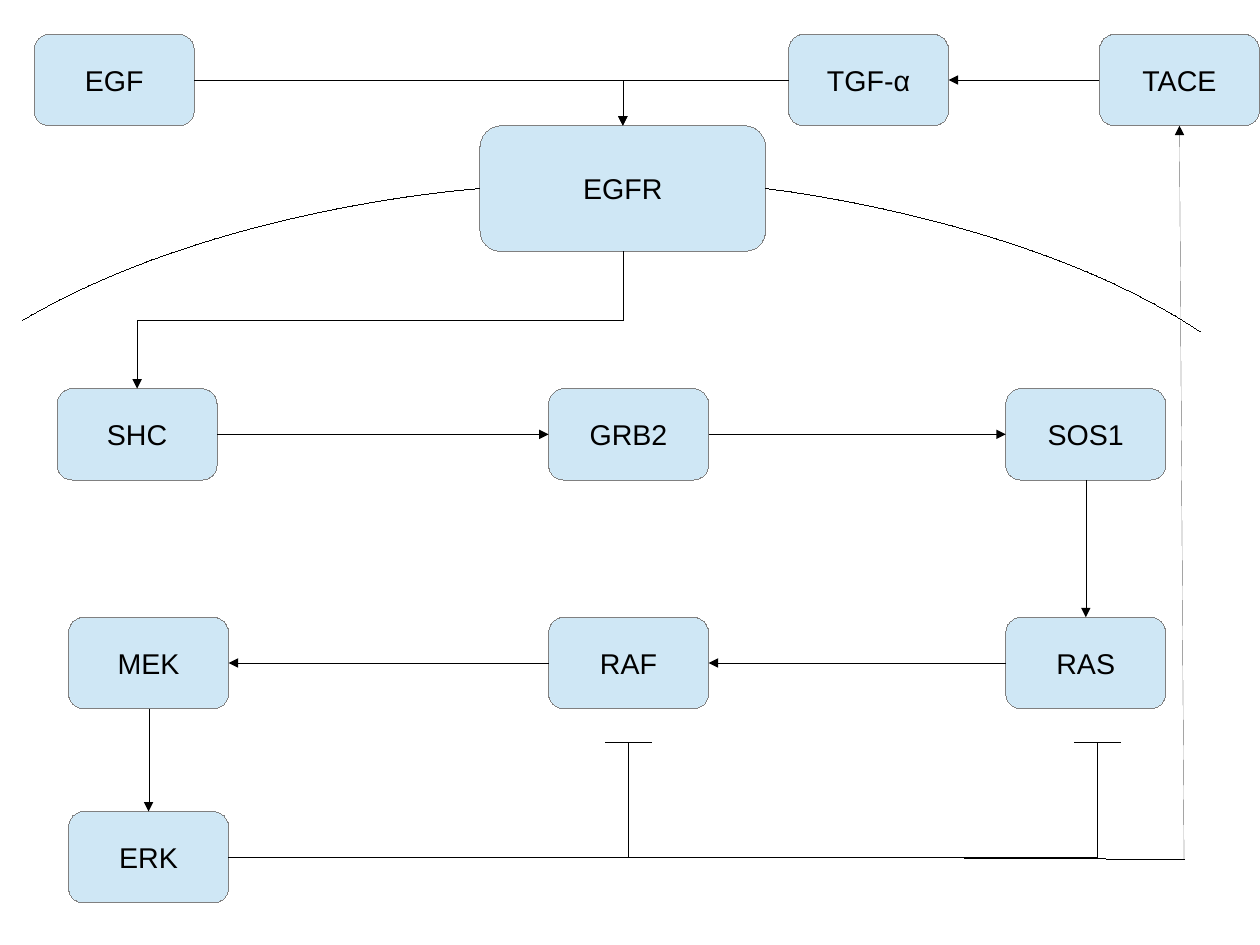
"""Draw the EGFR signalling pathway with its feedback loops on one slide."""
from dataclasses import dataclass
from typing import NamedTuple

from lxml.etree import SubElement
from pptx import Presentation
from pptx.dml.color import RGBColor
from pptx.enum.shapes import MSO_CONNECTOR, MSO_SHAPE
from pptx.enum.text import MSO_ANCHOR, PP_ALIGN
from pptx.oxml.ns import qn
from pptx.shapes.autoshape import Shape
from pptx.shapes.connector import Connector
from pptx.shapes.shapetree import SlideShapes
from pptx.util import Pt


@dataclass(frozen=True)
class Theme:
    """Colours and type of the slide."""
    protein_fill: RGBColor = RGBColor(0xCF, 0xE7, 0xF5)
    protein_edge: RGBColor = RGBColor(0x80, 0x80, 0x80)
    ink: RGBColor = RGBColor(0, 0, 0)
    font: str = "Arial"
    label_size: float = 18
    line_width: float = 0


class Point(NamedTuple):
    """A place on the slide in points."""
    x: float
    y: float

    def emu(self) -> tuple[int, int]:
        """Return both coordinates as lengths."""
        return Pt(self.x), Pt(self.y)


@dataclass(frozen=True)
class Protein:
    """A labelled box of the pathway."""
    name: str
    left: float
    top: float
    width: float = 100.8
    height: float = 57.6

    def side(self, name: str) -> Point:
        """Return the middle of the named side."""
        across, down = {"left": (0, 0.5), "right": (1, 0.5), "top": (0.5, 0), "bottom": (0.5, 1)}[name]
        return Point(self.left + across * self.width, self.top + down * self.height)


class Link(NamedTuple):
    """An arrow between the sides of two proteins."""
    source: str
    source_side: str
    target: str
    target_side: str


class Outline(NamedTuple):
    """An open path, straight or as one cubic curve."""
    points: tuple[Point, ...]
    curved: bool = False


THEME = Theme()
SLIDE_SIZE = {"slide_width": Pt(793.75), "slide_height": Pt(595.25)}
LABEL_FRAME = {
    "word_wrap": False,
    "vertical_anchor": MSO_ANCHOR.MIDDLE,
    "margin_left": Pt(7.2),
    "margin_right": Pt(7.2),
    "margin_top": Pt(3.6),
    "margin_bottom": Pt(3.6),
}
LABEL_FONT = {"name": THEME.font, "size": Pt(THEME.label_size)}
LIGAND_TOP, ADAPTOR_TOP, KINASE_TOP = 21.6, 244.8, 388.8
MIDDLE_LEFT, RIGHT_LEFT = 345.6, 633.6

PROTEINS = {
    protein.name: protein
    for protein in (
        Protein("EGF", 21.6, LIGAND_TOP),
        Protein("TGF-α", 496.8, LIGAND_TOP),
        Protein("TACE", 692.64, LIGAND_TOP),
        Protein("EGFR", 302.4, 79.2, 180, 79.2),
        Protein("SHC", 36, ADAPTOR_TOP),
        Protein("GRB2", MIDDLE_LEFT, ADAPTOR_TOP),
        Protein("SOS1", RIGHT_LEFT, ADAPTOR_TOP),
        Protein("RAS", RIGHT_LEFT, KINASE_TOP),
        Protein("RAF", MIDDLE_LEFT, KINASE_TOP),
        Protein("MEK", 43.2, KINASE_TOP),
        Protein("ERK", 43.2, 511.2),
    )
}
ACTIVATIONS = (
    Link("TACE", "left", "TGF-α", "right"),
    Link("SHC", "right", "GRB2", "left"),
    Link("GRB2", "right", "SOS1", "left"),
    Link("SOS1", "bottom", "RAS", "top"),
    Link("RAS", "left", "RAF", "right"),
    Link("RAF", "left", "MEK", "right"),
    Link("MEK", "bottom", "ERK", "top"),
)
LIGAND_BINDINGS = (
    Link("EGF", "right", "EGFR", "top"),
    Link("TGF-α", "left", "EGFR", "top"),
)
FEEDBACK_Y, INHIBITION_Y = 540, 468
INHIBITION_SPANS = ((144, 396), (396, 691.2))
INHIBITION_HALF_BAR = 14.4
FEEDBACK_CORNER = Point(745.92, 541.44)
MEMBRANE = (
    Outline((Point(14.4, 201.6), Point(136.8, 129.6), Point(302.4, 118.8), Point(302.4, 118.8)), True),
    Outline((Point(756, 208.8), Point(648, 136.8), Point(482.4, 118.8), Point(482.4, 118.8)), True),
)


def apply(target: object, values: dict[str, object]) -> None:
    """Set every format value on the target."""
    for attribute, value in values.items():
        setattr(target, attribute, value)


def style_line(part: Shape | Connector, color: RGBColor) -> None:
    """Give the line of a part its colour and an explicit width."""
    part.line.color.rgb = color
    part._element.spPr.find(qn("a:ln")).set("w", str(Pt(THEME.line_width)))


def draw_protein(shapes: SlideShapes, protein: Protein) -> None:
    """Draw one protein box with its label."""
    box = shapes.add_shape(
        MSO_SHAPE.ROUNDED_RECTANGLE,
        *(Pt(length) for length in (protein.left, protein.top, protein.width, protein.height)),
    )
    box.shadow.inherit = False
    box.fill.solid()
    box.fill.fore_color.rgb = THEME.protein_fill
    style_line(box, THEME.protein_edge)
    apply(box.text_frame, LABEL_FRAME)
    label = box.text_frame.paragraphs[0]
    label.alignment = PP_ALIGN.CENTER
    name = label.add_run()
    name.text = protein.name
    apply(name.font, LABEL_FONT)
    name.font.color.rgb = THEME.ink


def draw_connector(
    shapes: SlideShapes, start: Point, end: Point, arrow: bool = True,
    kind: MSO_CONNECTOR = MSO_CONNECTOR.STRAIGHT,
) -> Connector:
    """Draw a connector, with an arrowhead at its end if wanted."""
    connector = shapes.add_connector(kind, *start.emu(), *end.emu())
    style_line(connector, THEME.ink)
    properties = connector._element.spPr
    if arrow:
        SubElement(properties.find(qn("a:ln")), qn("a:tailEnd"), type="triangle")
    SubElement(properties, qn("a:effectLst"))
    return connector


def draw_binding(shapes: SlideShapes, start: Point, end: Point) -> None:
    """Draw an arrow that runs across and then turns down."""
    binding = draw_connector(shapes, start, end, kind=MSO_CONNECTOR.ELBOW)
    binding._element.spPr.find(qn("a:prstGeom")).set("prst", "bentConnector2")


def draw_descent(shapes: SlideShapes, start: Point, end: Point) -> None:
    """Draw an arrow that runs down, left and down again."""
    middle = Point((start.x + end.x) / 2, (start.y + end.y) / 2)
    half_drop, half_run = (end.y - start.y) / 2, (start.x - end.x) / 2
    descent = draw_connector(
        shapes,
        Point(middle.x - half_drop, middle.y - half_run),
        Point(middle.x + half_drop, middle.y + half_run),
        kind=MSO_CONNECTOR.ELBOW,
    )
    descent._element.spPr.find(qn("a:xfrm")).set("rot", "5400000")


def draw_outline(shapes: SlideShapes, outline: Outline) -> None:
    """Draw an open path without fill."""
    start, *others = (point.emu() for point in outline.points)
    builder = shapes.build_freeform(*start)
    builder.add_line_segments(others, close=False)
    trace = builder.convert_to_shape()
    trace.shadow.inherit = False
    trace.fill.background()
    style_line(trace, THEME.ink)
    if outline.curved:
        segments = list(trace._element.iter(qn("a:lnTo")))
        curve = SubElement(segments[0].getparent(), qn("a:cubicBezTo"))
        for segment in segments:
            curve.append(segment[0])
            segment.getparent().remove(segment)


def ends(link: Link) -> tuple[Point, Point]:
    """Return the two points that a link joins."""
    return PROTEINS[link.source].side(link.source_side), PROTEINS[link.target].side(link.target_side)


def main() -> None:
    """Build and save the slide."""
    deck = Presentation()
    apply(deck, SLIDE_SIZE)
    shapes = deck.slides.add_slide(deck.slide_layouts[6]).shapes
    for protein in PROTEINS.values():
        draw_protein(shapes, protein)
    for activation in ACTIVATIONS:
        draw_connector(shapes, *ends(activation))
    for binding in LIGAND_BINDINGS:
        draw_binding(shapes, *ends(binding))
    draw_descent(shapes, *ends(Link("EGFR", "bottom", "SHC", "top")))
    for outline in MEMBRANE:
        draw_outline(shapes, outline)
    for left, right in INHIBITION_SPANS:
        corner, tip = Point(right, FEEDBACK_Y), Point(right, INHIBITION_Y)
        draw_outline(shapes, Outline((Point(left, FEEDBACK_Y), corner, tip)))
        bar = (Point(right + reach, INHIBITION_Y) for reach in (-INHIBITION_HALF_BAR, INHIBITION_HALF_BAR))
        draw_connector(shapes, *bar, arrow=False)
    draw_connector(shapes, FEEDBACK_CORNER, PROTEINS["TACE"].side("bottom"))
    draw_connector(shapes, Point(543.6, FEEDBACK_Y), FEEDBACK_CORNER, arrow=False)
    deck.save("out.pptx")


if __name__ == "__main__":
    main()
